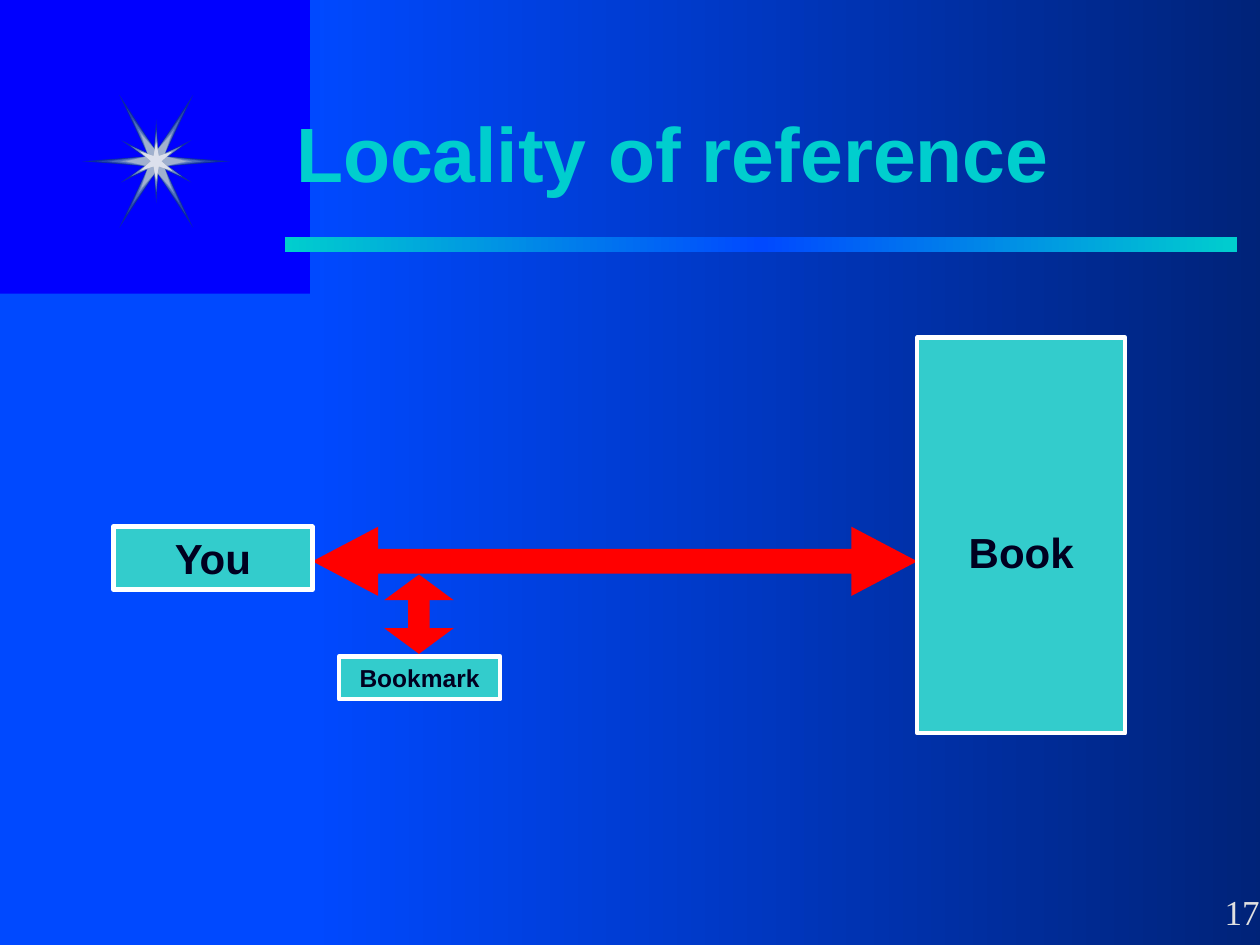
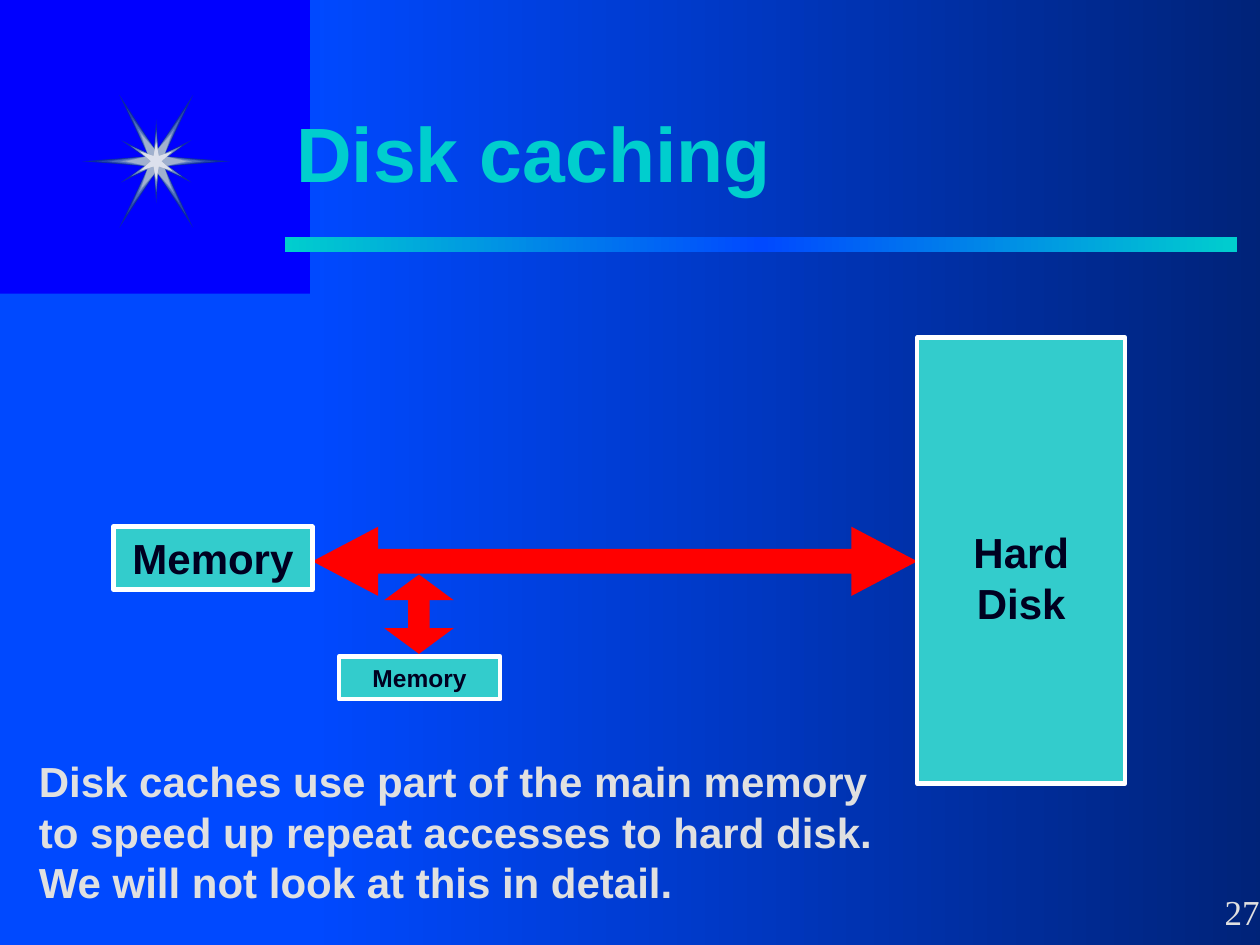
from dataclasses import dataclass

from lxml.etree import SubElement
from pptx import Presentation
from pptx.dml.color import RGBColor
from pptx.enum.shapes import MSO_SHAPE
from pptx.enum.text import MSO_ANCHOR, MSO_AUTO_SIZE, PP_ALIGN
from pptx.oxml import parse_xml
from pptx.oxml.ns import nsdecls, qn
from pptx.util import Inches, Pt


@dataclass(frozen=True)
class Theme:
    """Colours, fonts and type sizes shared by the slides."""

    backdrop: str = "0000FF"
    panel: str = "0049FF"
    panel_dark: str = "002276"
    accent: str = "00CECE"
    box: str = "33CCCC"
    outline: str = "FFFFFF"
    arrow: str = "FF0000"
    ink: str = "000020"
    light: str = "E0E0E0"
    font: str = "Arial"
    number_font: str = "Times New Roman"
    title_size: int = 44
    body_size: int = 24
    small_size: int = 14
    number_size: int = 20


THEME = Theme()

STAR_LAYERS = [
    ("long", 1.17, "0B2B9E"), ("short", 0.56, "102FA1"),
    ("long", 0.94, "2645AC"), ("short", 0.41, "4464B9"),
    ("long", 0.76, "4464B9"), ("short", 0.39, "4E6EBC"),
    ("long", 0.71, "4E6EBC"), ("short", 0.37, "5A79C0"),
    ("short", 0.33, "7992C6"), ("long", 0.57, "7992C6"),
    ("long", 0.48, "A0B0CE"), ("short", 0.26, "D9D9D9"),
    ("short", 0.24, "DCE0ED"),
]


def fill_plain(shape, color):
    """Give a shape one flat colour, with no outline or shadow."""
    shape.shadow.inherit = False
    shape.fill.solid()
    shape.fill.fore_color.rgb = RGBColor.from_string(color)
    shape.line.fill.background()


def fill_gradient(shape, colors):
    """Blend evenly spaced colours from left to right."""
    fill_plain(shape, colors[0])
    shape.fill.gradient()
    shape.fill.gradient_angle = 0
    stops = shape._element.spPr.find(qn("a:gradFill")).find(qn("a:gsLst"))
    for stop in list(stops):
        stops.remove(stop)
    for index, color in enumerate(colors):
        position = 100000 * index // (len(colors) - 1)
        stop = SubElement(stops, qn("a:gs"), pos=str(position))
        SubElement(stop, qn("a:srgbClr"), val=color)


def add_block(shapes, kind, left, top, width, height):
    """Add a preset shape measured in inches."""
    return shapes.add_shape(kind, Inches(left), Inches(top), Inches(width), Inches(height))


def write(shape, text, size, color, font=THEME.font, bold=True, align=PP_ALIGN.LEFT):
    """Set one paragraph of text and format its run."""
    frame = shape.text_frame
    frame.text = text
    frame.word_wrap = True
    frame.auto_size = MSO_AUTO_SIZE.NONE
    paragraph = frame.paragraphs[0]
    paragraph.alignment = align
    run = paragraph.runs[0]
    run.font.name = font
    run.font.size = Pt(size)
    run.font.bold = bold
    run.font.color.rgb = RGBColor.from_string(color)
    return run


def star_points(style, span):
    """Return the star's outline around its centre, in inches."""
    reach = span / 2
    if style == "long":
        quarter = [(reach, 0), (0.06, 0.04), (reach / 2, 0.9 * reach), (0, 0.08)]
    else:
        quarter = [(0.04, 0), (reach, 0.6 * reach), (0.02, 0.04), (0, 1.2 * reach)]
    half = quarter + [(-x, y) for x, y in quarter[-2::-1]]
    return half + [(x, -y) for x, y in half[-2:0:-1]]


def draw_star(shapes, center_x, center_y):
    """Stack the star's layers, from the dark rays to the bright core."""
    for style, span, color in STAR_LAYERS:
        points = [
            (Inches(center_x + x), Inches(center_y + y))
            for x, y in star_points(style, span)
        ]
        outline = shapes.build_freeform(*points[0])
        outline.add_line_segments(points[1:], close=True)
        fill_plain(outline.convert_to_shape(), color)


def draw_scenery(slide, layout):
    """Draw the panels, title rule and star, and hand them to the layout."""
    scenery = slide.shapes.add_group_shape()
    shapes = scenery.shapes
    fill_plain(add_block(shapes, MSO_SHAPE.RECTANGLE, 0, 2.33, 2.46, 5.17), THEME.panel)
    fade = add_block(shapes, MSO_SHAPE.RECTANGLE, 2.46, 0, 7.73, 7.5)
    fill_gradient(fade, [THEME.panel, THEME.panel_dark])
    rule = add_block(shapes, MSO_SHAPE.RECTANGLE, 2.26, 1.88, 7.56, 0.12)
    fill_gradient(rule, [THEME.accent, THEME.panel, THEME.accent])
    draw_star(shapes, 1.24, 1.28)
    layout.shapes._spTree.append(scenery._element)


def set_title(slide, text):
    """Place the title and give its letters a soft dark shadow."""
    title = slide.shapes.title
    title.left, title.top = Inches(2.25), Inches(0.58)
    title.width, title.height = Inches(7.58), Inches(1.25)
    run = write(title, text, THEME.title_size, THEME.accent)
    title.text_frame.vertical_anchor = MSO_ANCHOR.MIDDLE
    shadow = parse_xml(
        f'<a:effectLst {nsdecls("a")}><a:outerShdw dist="35921" dir="2700000">'
        f'<a:srgbClr val="{THEME.panel_dark}"/></a:outerShdw></a:effectLst>'
    )
    run.font._element.find(qn("a:solidFill")).addnext(shadow)


def add_caption(slide, text, left, top, width, height, size, **style):
    """Add a text box in the light text colour."""
    caption = slide.shapes.add_textbox(
        Inches(left), Inches(top), Inches(width), Inches(height)
    )
    write(caption, text, size, THEME.light, **style)


def add_node(slide, text, left, top, width, height, size):
    """Add a labelled box with a white outline."""
    node = add_block(slide.shapes, MSO_SHAPE.RECTANGLE, left, top, width, height)
    fill_plain(node, THEME.box)
    node.line.color.rgb = RGBColor.from_string(THEME.outline)
    node.line.width = Pt(2.5)
    write(node, text, size, THEME.ink, align=PP_ALIGN.CENTER)
    node.text_frame.vertical_anchor = MSO_ANCHOR.MIDDLE
    return node


def add_two_way_arrow(slide, left, top, width, height, shaft, head):
    """Add a red double arrow."""
    arrow = add_block(slide.shapes, MSO_SHAPE.LEFT_RIGHT_ARROW, left, top, width, height)
    arrow.adjustments[0], arrow.adjustments[1] = shaft, head
    fill_plain(arrow, THEME.arrow)
    return arrow


def draw_access_diagram(slide, left, top, user, cache, store, store_height):
    """Link the user to the store, with the cache hanging below the link."""
    link = top + 1.5
    lookup = add_two_way_arrow(slide, left + 2.11, link + 0.42, 0.63, 0.55, 0.31, 0.37)
    lookup.rotation = 90
    add_node(slide, cache, left + 1.79, link + 1.03, 1.28, 0.34, THEME.small_size)
    add_two_way_arrow(slide, left + 1.58, link, 4.8, 0.55, 0.36, 0.95)
    add_node(slide, user, left, link, 1.58, 0.5, THEME.body_size)
    shelf = add_node(slide, store, left + 6.38, top, 1.65, store_height, THEME.body_size)
    shelf.text_frame.vertical_anchor = MSO_ANCHOR.TOP
    shelf.text_frame.margin_top = Inches(1.5)


def add_access_slide(deck, layout, title, number, user, cache, store, store_height):
    """Add a titled, numbered slide with an access diagram."""
    slide = deck.slides.add_slide(layout)
    set_title(slide, title)
    add_caption(slide, number, 9.62, 7.02, 0.55, 0.44, THEME.number_size,
                font=THEME.number_font, bold=False)
    draw_access_diagram(slide, 0.9, 2.68, user, cache, store, store_height)
    return slide


def main():
    """Build the deck."""
    deck = Presentation()
    deck.slide_width, deck.slide_height = Inches(10), Inches(7.5)
    backdrop = deck.slide_master.background.fill
    backdrop.solid()
    backdrop.fore_color.rgb = RGBColor.from_string(THEME.backdrop)
    layout = deck.slide_layouts[5]
    for placeholder in list(layout.placeholders)[1:]:
        layout.shapes._spTree.remove(placeholder._element)

    locality = add_access_slide(deck, layout, "Locality of reference", "17",
                                "You", "Bookmark", "Book", 3.14)
    draw_scenery(locality, layout)

    caching = add_access_slide(deck, layout, "Disk caching", "27",
                               "Memory", "Memory", "Hard Disk", 3.54)
    add_caption(
        caching,
        "Disk caches use part of the main memory to speed up repeat accesses "
        "to hard disk. We will not look at this in detail.",
        0.21, 5.95, 6.91, 1.47, THEME.body_size,
    )
    deck.save("out.pptx")


if __name__ == "__main__":
    main()
